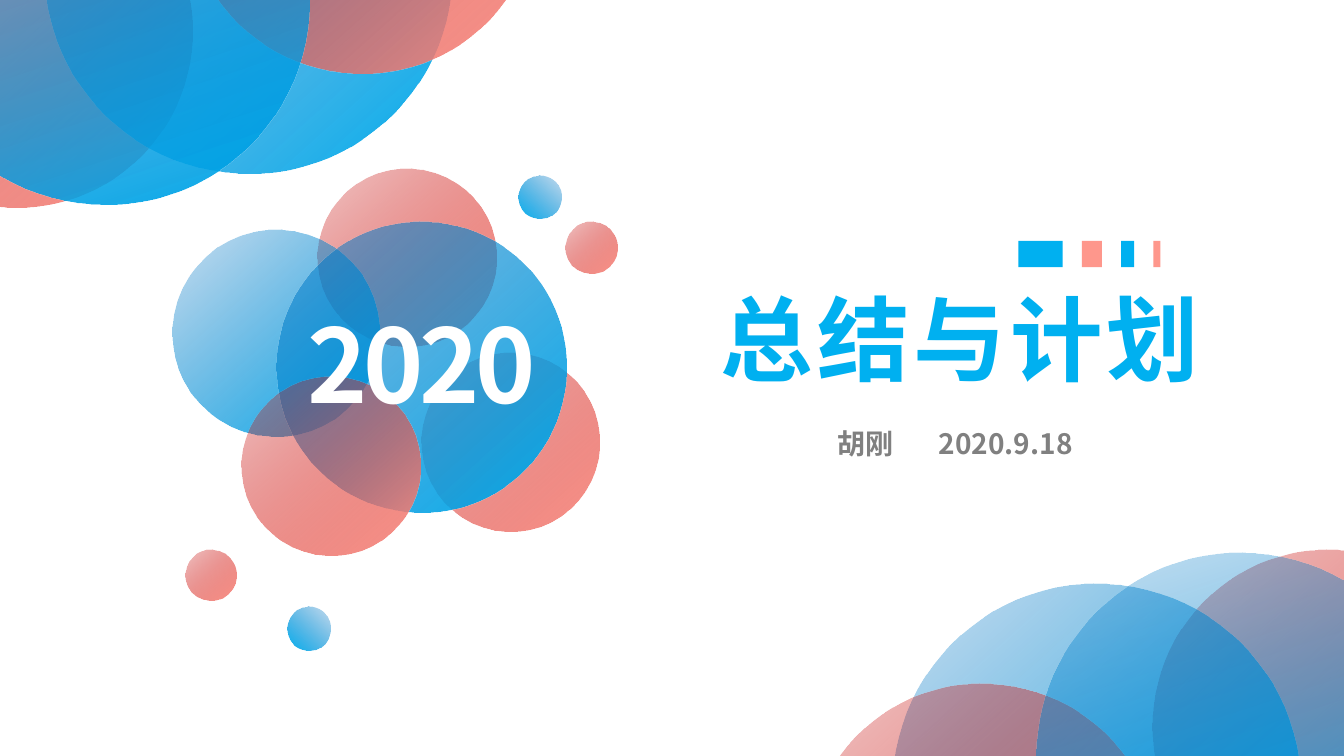
from dataclasses import dataclass

from lxml import etree
from pptx import Presentation
from pptx import util as u
from pptx.dml.color import RGBColor
from pptx.enum import shapes, text
from pptx.oxml.ns import qn

FONT = "Noto Sans CJK SC"
COLORS = {
    "blue": "00B0F0", "deep blue": "0070C0",
    "coral": "FE978C", "deep red": "C00000",
    "gray": "808080", "white": "FFFFFF",
}
SHADES = {"blue": "deep blue", "coral": "deep red"}


@dataclass
class Bubble:
    left: float
    top: float
    size: float
    color: str
    rotation: float = 273
    alpha: int = 22
    flipped: bool = False


@dataclass
class Label:
    text: str
    box: tuple[float, float, float, float]
    size: float
    color: str
    align: text.PP_ALIGN
    spacing: int = 0
    inset: float = 0.1
    tab: float = 0


BUBBLES = [
    Bubble(-1.59, -1.44, 3.5, "coral"),
    Bubble(0.44, -2.33, 4.05, "blue"),
    Bubble(1.84, -2.77, 3.5, "coral"),
    Bubble(-0.98, -2.02, 4.05, "blue", 296.7),
    Bubble(11.43, 5.45, 3.5, "coral"),
    Bubble(8.85, 5.79, 4.05, "blue"),
    Bubble(7.99, 6.78, 3.5, "coral"),
    Bubble(10.28, 5.48, 4.05, "blue", 296.7),
    Bubble(3.15, 1.67, 1.77, "coral"),
    Bubble(4.18, 3.5, 1.77, "coral"),
    Bubble(1.71, 2.28, 2.05, "blue"),
    Bubble(2.74, 2.2, 2.88, "blue", alpha=44),
    Bubble(5.14, 1.74, 0.43, "blue", 87, flipped=True),
    Bubble(5.61, 2.2, 0.51, "coral"),
    Bubble(2.4, 3.74, 1.77, "coral"),
    Bubble(2.85, 6.02, 0.43, "blue", 87, flipped=True),
    Bubble(1.84, 5.45, 0.51, "coral"),
]
BAR_WIDTHS = [0.44, 0.2, 0.13, 0.07]
BAR_LEFT, BAR_TOP, BAR_HEIGHT, BAR_GAP = 10.1, 2.39, 0.26, 0.19

TITLE = Label("总结与计划", (6.31, 2.79, 6.41, 1.21), 66, "blue",
              text.PP_ALIGN.LEFT, spacing=300, inset=0.84)
BYLINE = Label("胡刚\t2020.9.18", (7.14, 4.23, 4.87, 0.44), 20, "gray",
               text.PP_ALIGN.LEFT, inset=1.17, tab=0.94)
YEAR = Label("2020", (2.77, 2.96, 2.83, 1.38), 73, "white",
             text.PP_ALIGN.CENTER, spacing=-300)


def rgb(name: str) -> RGBColor:
    """Return the named colour."""
    return RGBColor.from_string(COLORS[name])


def add_plain(slide, kind, left: float, top: float, width: float, height: float):
    """Add a preset shape without line or shadow."""
    sp = slide.shapes.add_shape(kind, *map(u.Inches, (left, top, width, height)))
    sp.shadow.inherit = False
    sp.line.fill.background()
    return sp


def draw_bubble(slide, b: Bubble) -> None:
    """Draw a circle that fades from a translucent shade to a solid colour."""
    sp = add_plain(slide, shapes.MSO_SHAPE.OVAL, b.left, b.top, b.size, b.size)
    sp.rotation = b.rotation
    sp.fill.gradient()
    sp.fill.gradient_angle = 225
    for stop, name in zip(sp.fill.gradient_stops, (SHADES[b.color], b.color)):
        stop.color.rgb = rgb(name)
    spPr = sp.element.spPr
    first = spPr.find(".//" + qn("a:srgbClr"))
    etree.SubElement(first, qn("a:alpha"), val=str(b.alpha * 1000))
    if b.flipped:
        spPr.find(qn("a:xfrm")).set("flipH", "1")


def draw_bars(slide) -> None:
    """Draw the row of shrinking bars in alternating colours."""
    left = BAR_LEFT
    for i, width in enumerate(BAR_WIDTHS):
        sp = add_plain(slide, shapes.MSO_SHAPE.RECTANGLE, left, BAR_TOP, width, BAR_HEIGHT)
        sp.fill.solid()
        sp.fill.fore_color.rgb = rgb(("blue", "coral")[i % 2])
        left += width + BAR_GAP


def write_label(sp, label: Label) -> None:
    """Place a text shape and fill it with one formatted line."""
    for name, value in zip(("left", "top", "width", "height"), label.box):
        setattr(sp, name, u.Inches(value))
    tf = sp.text_frame
    frame = {
        "word_wrap": True, "auto_size": text.MSO_AUTO_SIZE.NONE,
        "vertical_anchor": text.MSO_ANCHOR.MIDDLE,
        "margin_left": u.Inches(label.inset), "margin_right": u.Inches(0.1),
        "margin_top": u.Inches(0), "margin_bottom": u.Inches(0.1),
    }
    for name, value in frame.items():
        setattr(tf, name, value)
    p = tf.paragraphs[0]
    for name, value in {"alignment": label.align, "space_before": u.Pt(0),
                        "line_spacing": 1.0}.items():
        setattr(p, name, value)
    if label.tab:
        tabs = etree.SubElement(p._p.get_or_add_pPr(), qn("a:tabLst"))
        etree.SubElement(tabs, qn("a:tab"), pos=str(u.Inches(label.tab)), algn="l")
    r = p.add_run()
    r.text = label.text
    for name, value in {"name": FONT, "size": u.Pt(label.size), "bold": True}.items():
        setattr(r.font, name, value)
    r.font.color.rgb = rgb(label.color)
    rPr = r._r.get_or_add_rPr()
    rPr.set("spc", str(label.spacing))
    etree.SubElement(rPr, qn("a:ea"), typeface=FONT)


def main() -> None:
    """Build the cover slide and save it."""
    prs = Presentation()
    prs.slide_width, prs.slide_height = u.Inches(13.33), u.Inches(7.5)
    slide = prs.slides.add_slide(prs.slide_layouts[0])
    slide.background.fill.solid()
    slide.background.fill.fore_color.rgb = rgb("white")
    write_label(slide.shapes.title, TITLE)
    write_label(slide.placeholders[1], BYLINE)
    for bubble in BUBBLES:
        draw_bubble(slide, bubble)
    write_label(slide.shapes.add_textbox(0, 0, 0, 0), YEAR)
    draw_bars(slide)
    prs.save("out.pptx")


if __name__ == "__main__":
    main()
